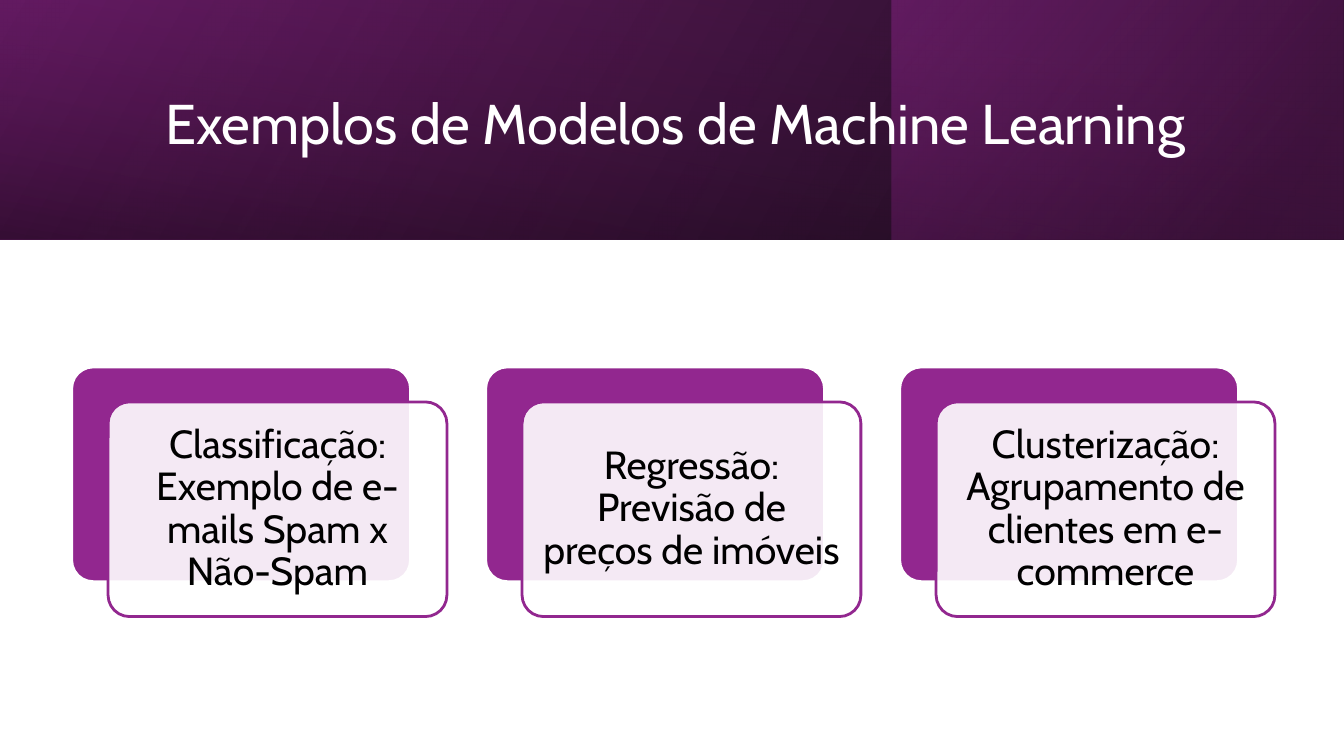
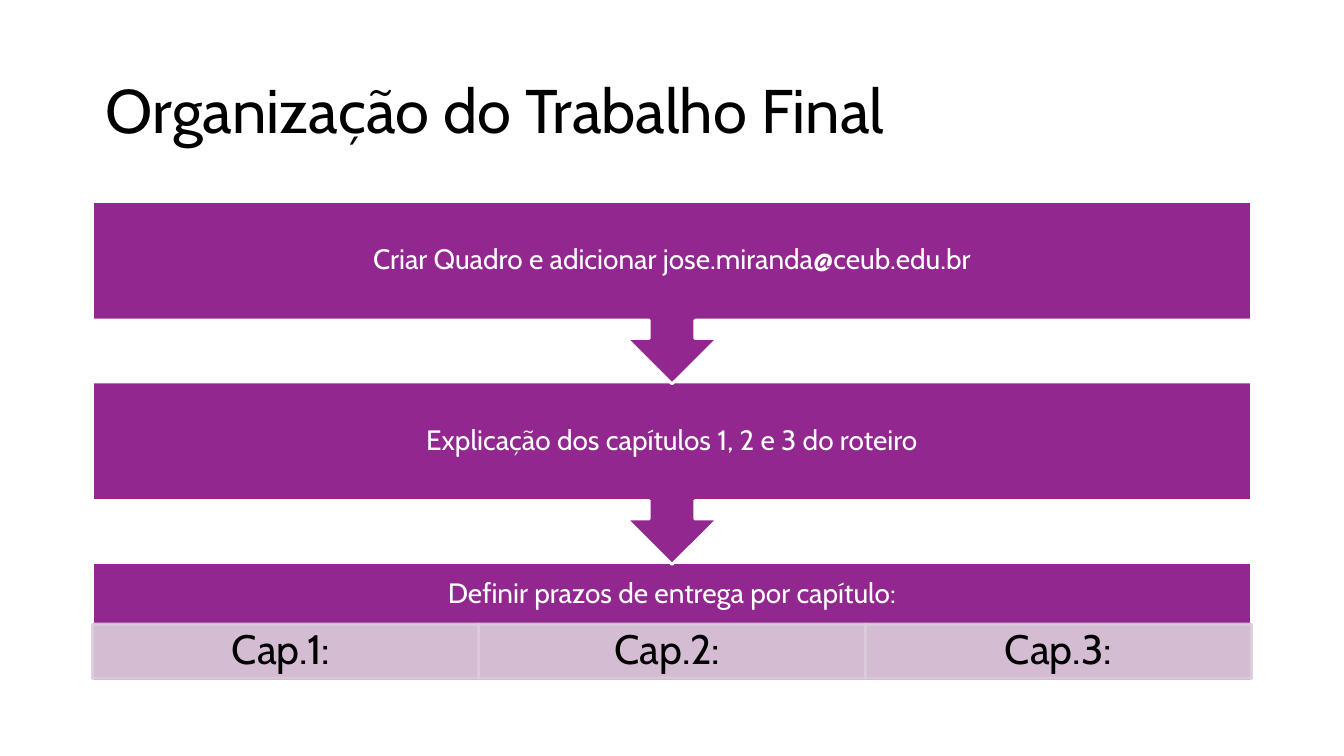
from lxml.etree import SubElement
from pptx import Presentation
from pptx.dml.color import RGBColor
from pptx.enum.shapes import MSO_SHAPE as Preset
from pptx.enum.text import MSO_ANCHOR as Anchor, MSO_AUTO_SIZE as AutoSize, PP_ALIGN as Align
from pptx.oxml import parse_xml
from pptx.oxml.ns import nsdecls, qn
from pptx.util import Pt

FONT = "Cabin"
PURPLE = RGBColor(0x92, 0x27, 0x8F)
PLUM = RGBColor(0x6D, 0x1D, 0x6B)
DEEP_PLUM = RGBColor(0x49, 0x14, 0x47)
LILAC = RGBColor(0xDC, 0xCD, 0xDB)
BLACK = RGBColor(0x00, 0x00, 0x00)
WHITE = RGBColor(0xFF, 0xFF, 0xFF)
SLIDE_WIDTH, SLIDE_HEIGHT = 720, 405
TITLE_ONLY = 5
OUTLINE = 1.5
VEIL = 90


def points(box):
    """Turn a box of plain numbers into lengths."""
    return [Pt(value) for value in box]


def write(shape, text, size, color, align=Align.CENTER, insets=(7.2, 3.6)):
    """Put one formatted paragraph in a shape, centred vertically."""
    frame = shape.text_frame
    frame.text = text
    frame.word_wrap = True
    frame.auto_size = AutoSize.NONE
    frame.vertical_anchor = Anchor.MIDDLE
    frame.margin_left = frame.margin_right = Pt(insets[0])
    frame.margin_top = frame.margin_bottom = Pt(insets[1])
    paragraph = frame.paragraphs[0]
    paragraph.alignment = align
    paragraph.line_spacing = 0.9
    font = paragraph.runs[0].font
    font.name, font.size, font.color.rgb = FONT, Pt(size), color


def add_label(slide, box, text, size, color, insets):
    """Add a text box with one centred paragraph."""
    write(slide.shapes.add_textbox(*points(box)), text, size, color, insets=insets)


def add_block(slide, preset, box, fill, line):
    """Add a solid shape with an outline."""
    block = slide.shapes.add_shape(preset, *points(box))
    block.shadow.inherit = False
    block.fill.solid()
    block.fill.fore_color.rgb = fill
    block.line.color.rgb = line
    block.line.width = Pt(OUTLINE)
    return block


def fade(holder, opacity):
    """Set the opacity of the solid fill directly inside an XML element."""
    color = holder.find(qn("a:solidFill"))[0]
    SubElement(color, qn("a:alpha")).set("val", str(opacity * 1000))


def add_gradient(slide, box, stops, angle, rotation=0):
    """Add a mirrored rectangle with a linear gradient of (position, colour, opacity)."""
    panel = slide.shapes.add_shape(Preset.RECTANGLE, *points(box))
    panel.shadow.inherit = False
    panel.rotation = rotation
    panel.line.fill.background()
    panel.fill.background()
    properties = panel._element.spPr
    properties.find(qn("a:xfrm")).set("flipH", "1")
    stop_list = "".join(
        f'<a:gs pos="{position * 1000}"><a:srgbClr val="{color}">'
        f'<a:alpha val="{opacity * 1000}"/></a:srgbClr></a:gs>'
        for position, color, opacity in stops
    )
    gradient = parse_xml(
        f'<a:gradFill {nsdecls("a")} rotWithShape="1"><a:gsLst>{stop_list}</a:gsLst>'
        f'<a:lin ang="{angle * 60000}" scaled="0"/></a:gradFill>'
    )
    properties.replace(properties.find(qn("a:noFill")), gradient)


def add_title(slide, box, text, size, color):
    """Place the title placeholder in front of what is already drawn."""
    title = slide.shapes.title
    title.left, title.top, title.width, title.height = points(box)
    write(title, text, size, color, Align.LEFT)
    title._element.getparent().append(title._element)


def add_header_band(slide, box):
    """Layer three gradients into the dark header band."""
    left, top, width, height = box
    accent = 242
    add_gradient(slide, box, [(0, BLACK, 96), (100, PLUM, 100)], 330)
    add_gradient(slide, (left + width - accent - 0.5, top, accent, height),
                 [(19, DEEP_PLUM, 68), (100, PURPLE, 48)], 320)
    shift = (width - height) / 2
    add_gradient(slide, (left + shift, top - shift, height, width),
                 [(23, PLUM, 16), (99, BLACK, 45)], 350, rotation=270)


def add_model_card(slide, box, text):
    """Draw a purple card with a translucent text card offset over it."""
    left, top, width, height = box
    for offset, fill, line in ((0, PURPLE, WHITE), (19.5, WHITE, PURPLE)):
        card = add_block(slide, Preset.ROUNDED_RECTANGLE,
                         (left + offset, top + offset * 0.96, width, height), fill, line)
        card.adjustments[0] = 0.1
    fade(card._element.spPr, VEIL)
    write(card, text, 21, BLACK, insets=(6.3, 6.3))


def add_step(slide, box, text, arrow=0):
    """Draw a step bar, ending in a down arrow of the given height."""
    left, top, width, height = box
    if arrow:
        bar = add_block(slide, Preset.UP_ARROW_CALLOUT,
                        (left, top, width, height + arrow), PURPLE, WHITE)
        bar.rotation = 180
    else:
        add_block(slide, Preset.RECTANGLE, box, PURPLE, WHITE)
        height *= 0.54
    add_label(slide, (left, top, width, height), text, 15, WHITE, (8.4, 8.4))


def add_chapters(slide, box, chapters):
    """Divide a strip into equal chapter cells."""
    left, top, width, height = box
    cell_width = width / len(chapters)
    for column, chapter in enumerate(chapters):
        cell = add_block(slide, Preset.RECTANGLE,
                         (left + column * cell_width, top, cell_width, height), LILAC, LILAC)
        properties = cell._element.spPr
        fade(properties, VEIL)
        fade(properties.find(qn("a:ln")), VEIL)
        write(cell, chapter, 22, BLACK, insets=(12.2, 2.2))


def build_models(slide, box):
    """Build the slide with the three model examples."""
    left, top, width, _ = box
    add_header_band(slide, (left, top, width, 128.4))
    add_title(slide, (left + 81.4, top + 21, 574, 93),
              "Exemplos de Modelos de Machine Learning", 30, WHITE)
    models = (
        "Classificação: Exemplo de e-mails Spam x Não-Spam",
        "Regressão: Previsão de preços de imóveis",
        "Clusterização: Agrupamento de clientes em e-commerce",
    )
    for column, model in enumerate(models):
        add_model_card(slide, (left + 38.4 + column * 221.8, top + 196.6, 181.5, 115), model)


def build_final_work(slide, box):
    """Build the slide with the steps of the final work."""
    left, top, width, _ = box
    margin = 49.5
    step_left, step_width = left + margin, width - 2 * margin
    first_top, pitch, step_height, arrow = top + 108, 96.7, 63.4, 34.3
    add_title(slide, (step_left, top + 21.5, step_width, 78.5),
              "Organização do Trabalho Final", 33, BLACK)
    steps = (
        ("Criar Quadro e adicionar jose.miranda@ceub.edu.br", arrow),
        ("Explicação dos capítulos 1, 2 e 3 do roteiro", arrow),
        ("Definir prazos de entrega por capítulo:", 0),
    )
    for row, (step, tail) in reversed(list(enumerate(steps))):
        step_top = first_top + row * pitch
        add_step(slide, (step_left, step_top, step_width, step_height), step, tail)
        if not tail:
            add_chapters(slide, (step_left, step_top + 33, step_width, 29.2),
                         ("Cap.1: ", "Cap.2: ", "Cap.3:"))


def main():
    """Build and save the presentation."""
    deck = Presentation()
    deck.slide_width, deck.slide_height = Pt(SLIDE_WIDTH), Pt(SLIDE_HEIGHT)
    for build in (build_models, build_final_work):
        slide = deck.slides.add_slide(deck.slide_layouts[TITLE_ONLY])
        build(slide, (0, 0, SLIDE_WIDTH, SLIDE_HEIGHT))
    deck.save("out.pptx")


if __name__ == "__main__":
    main()
